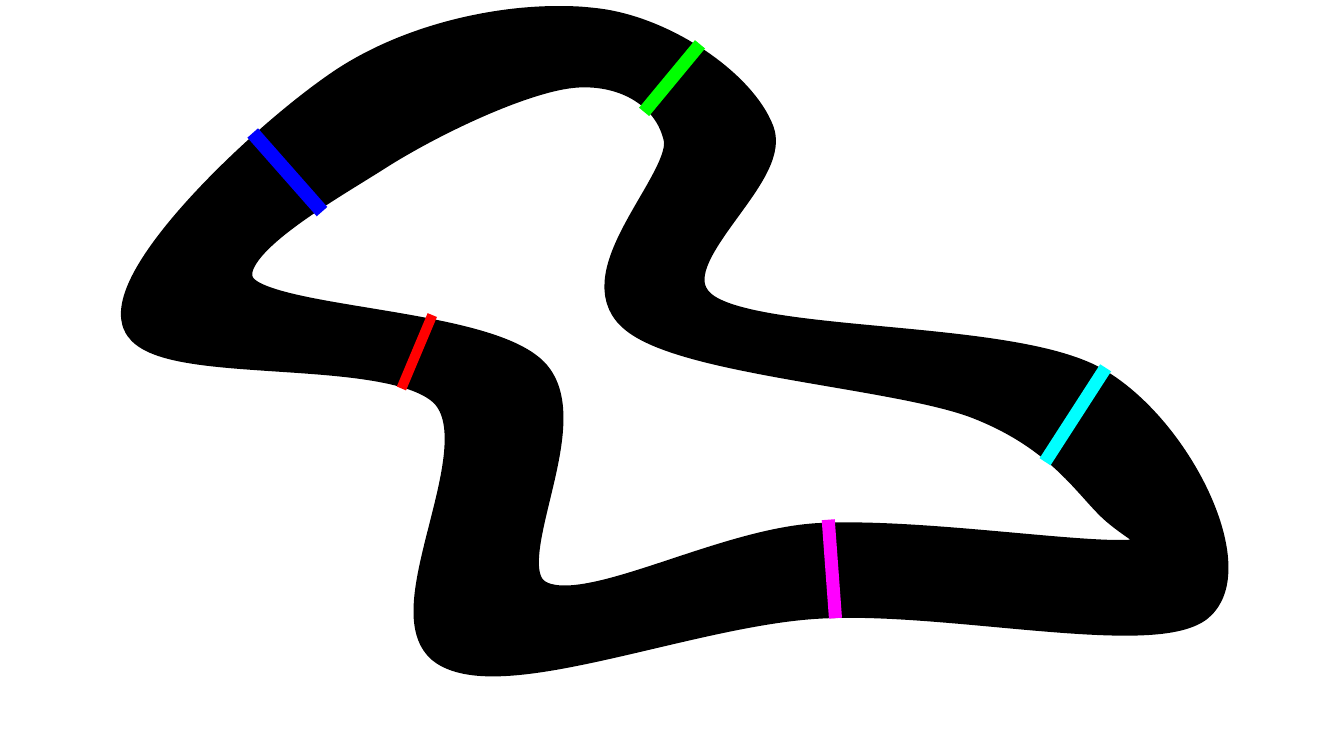
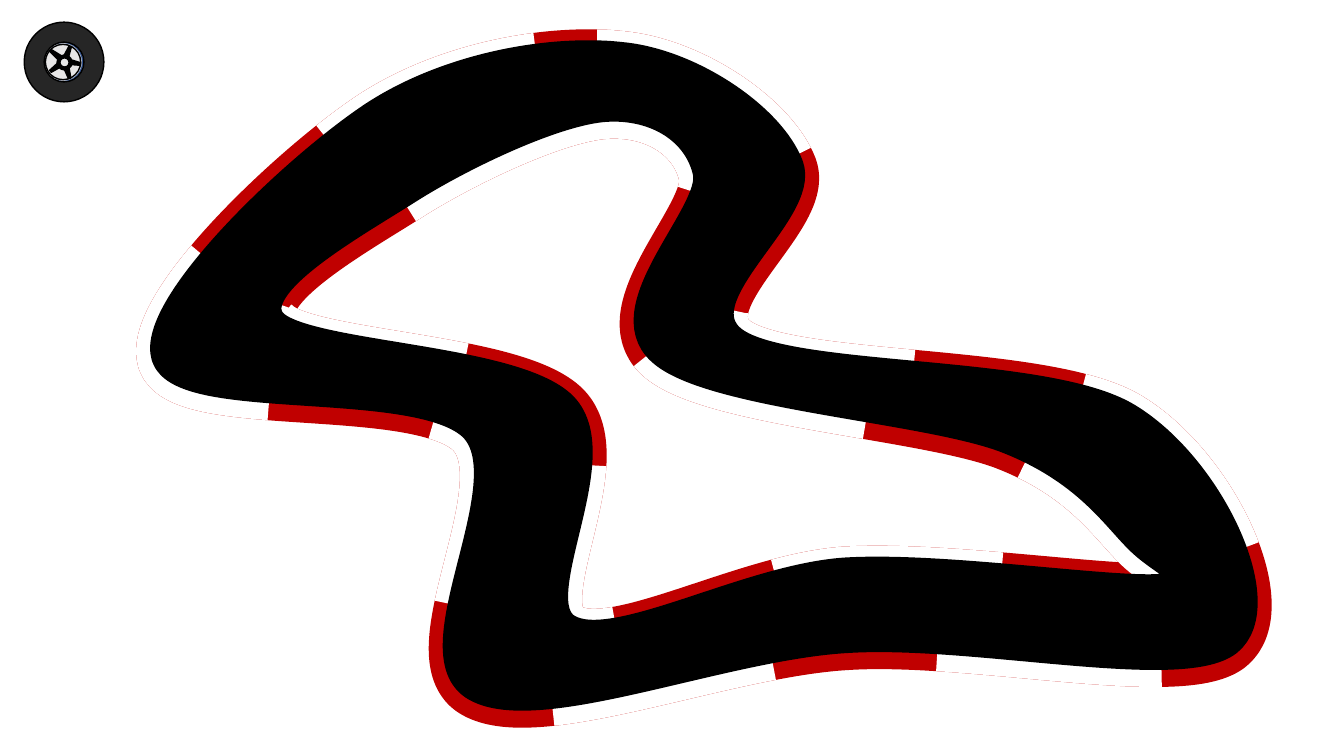
from lxml import etree
from pptx import Presentation
from pptx import util as u
from pptx.dml import color
from pptx.enum import dml, shapes
from pptx.oxml import ns

BLACK = "000000"
RED = "C00000"
WHITE = "FFFFFF"
LIGHT = "E7E6E6"
KIND = shapes.MSO_SHAPE

TRACK_BOX = (1.34, 0.2, 10.71, 6.38)
INNER_EDGE = [
    (5.72, 0.73),
    (5.23, 0.76, 4.3, 1.2, 3.75, 1.55),
    (3.2, 1.9, 2.15, 2.48, 2.4, 2.84),
    (2.66, 3.2, 4.81, 3.19, 5.3, 3.69),
    (5.79, 4.2, 4.88, 5.62, 5.34, 5.89),
    (5.8, 6.16, 7.1, 5.4, 8.09, 5.33),
    (9.07, 5.27, 10.76, 5.54, 11.25, 5.49),
    (11.74, 5.44, 11.28, 5.28, 11.02, 5.03),
    (10.77, 4.79, 10.49, 4.33, 9.7, 4.02),
    (8.91, 3.71, 6.76, 3.59, 6.27, 3.15),
    (5.77, 2.71, 6.81, 1.77, 6.72, 1.37),
    (6.63, 0.96, 6.22, 0.7, 5.72, 0.73),
]
OUTER_EDGE = [
    (5.63, 0.2),
    (5.73, 0.2, 5.82, 0.21, 5.91, 0.22),
    (6.59, 0.3, 7.36, 0.83, 7.54, 1.3),
    (7.72, 1.77, 6.43, 2.62, 6.99, 3.04),
    (7.55, 3.45, 10.09, 3.3, 10.9, 3.8),
    (11.72, 4.3, 12.35, 5.66, 11.89, 6.03),
    (11.42, 6.39, 9.36, 5.92, 8.11, 6),
    (6.87, 6.07, 5.05, 6.83, 4.43, 6.48),
    (3.82, 6.14, 4.92, 4.46, 4.41, 3.91),
    (3.89, 3.37, 1.52, 3.72, 1.35, 3.2),
    (1.19, 2.69, 2.66, 1.3, 3.42, 0.8),
    (4.08, 0.37, 4.96, 0.18, 5.63, 0.2),
]


def paint(shape, fill=None, line=None, width=1, dash=None, turn=0):
    shape.shadow.inherit = False
    shape.rotation = turn
    for part, tone in ((shape.fill, fill), (shape.line.fill, line)):
        if tone:
            part.solid()
            part.fore_color.rgb = color.RGBColor.from_string(tone)
        else:
            part.background()
    if line:
        shape.line.width = u.Pt(width)
    if dash:
        shape.line.dash_style = dash


def draw_track(canvas, shift_x, shift_y, line, width, dash=None):
    left, top, wide, high = TRACK_BOX
    x, y = u.Inches(left + shift_x), u.Inches(top + shift_y)
    right, bottom = x + u.Inches(wide), y + u.Inches(high)
    builder = canvas.build_freeform(x, y)
    builder.add_line_segments([(right, y), (right, bottom), (x, bottom)], close=True)
    track = builder.convert_to_shape()
    outline = next(track.element.iter(ns.qn("a:path")))
    for corner in list(outline):
        outline.remove(corner)
    for edge in (INNER_EDGE, OUTER_EDGE):
        for numbers in edge:
            name = "a:moveTo" if len(numbers) == 2 else "a:cubicBezTo"
            stretch = etree.SubElement(outline, ns.qn(name))
            for across, down in zip(numbers[::2], numbers[1::2]):
                point = etree.SubElement(stretch, ns.qn("a:pt"))
                point.set("x", str(int(u.Inches(across - left))))
                point.set("y", str(int(u.Inches(down - top))))
        etree.SubElement(outline, ns.qn("a:close"))
    paint(track, BLACK, line, width, dash)


deck = Presentation()
deck.slide_width = u.Inches(13.33)
deck.slide_height = u.Inches(7.5)
blank = deck.slide_layouts[6]

page = deck.slides.add_slide(blank)
draw_track(page.shapes, 0, 0, BLACK, 20)
checkpoints = [
    (2.33, 1.64, 1.04, 0.14, 48.6, "0000FF"),
    (6.23, 0.71, 0.87, 0.13, 129.6, "00FF00"),
    (3.74, 3.44, 0.79, 0.1, 292.8, "FF0000"),
    (7.76, 5.58, 0.98, 0.13, 85.8, "FF00FF"),
    (10.11, 4.05, 1.11, 0.13, 122.8, "00FFFF"),
]
for *place, turn, tone in checkpoints:
    gate = page.shapes.add_shape(KIND.RECTANGLE, *map(u.Inches, place))
    paint(gate, tone, turn=turn)

page = deck.slides.add_slide(blank)
wheel = page.shapes.add_group_shape().shapes
discs = [
    (KIND.OVAL, 0.43, 0.42, 0.39, LIGHT, "325491", 1),
    (KIND.DONUT, 0.24, 0.22, 0.79, "262626", BLACK, 1),
    (KIND.OVAL, 0.45, 0.44, 0.35, LIGHT, BLACK, 1),
    (KIND.OVAL, 0.58, 0.56, 0.12, None, BLACK, 3),
]
for kind, left, top, size, fill, line, width in discs:
    disc = wheel.add_shape(kind, *map(u.Inches, (left, top, size, size)))
    paint(disc, fill, line, width)

spokes = [
    (0.65, 0.67, 163.1),
    (0.72, 0.57, 100.9),
    (0.52, 0.62, 234.3),
    (0.65, 0.46, 21.7),
    (0.52, 0.48, 308.4),
]
for left, top, turn in spokes:
    spoke = wheel.add_shape(KIND.TRAPEZOID, *map(u.Inches, (left, top, 0.05, 0.11)))
    paint(spoke, BLACK, BLACK, turn=turn)

circuit = page.shapes.add_group_shape().shapes
layers = [
    (0.37, RED, 40, None),
    (0.37, WHITE, 40, dml.MSO_LINE.DASH),
    (0.34, BLACK, 20, None),
]
for shift_y, line, width, dash in layers:
    draw_track(circuit, 0.29, shift_y, line, width, dash)

deck.save("out.pptx")
